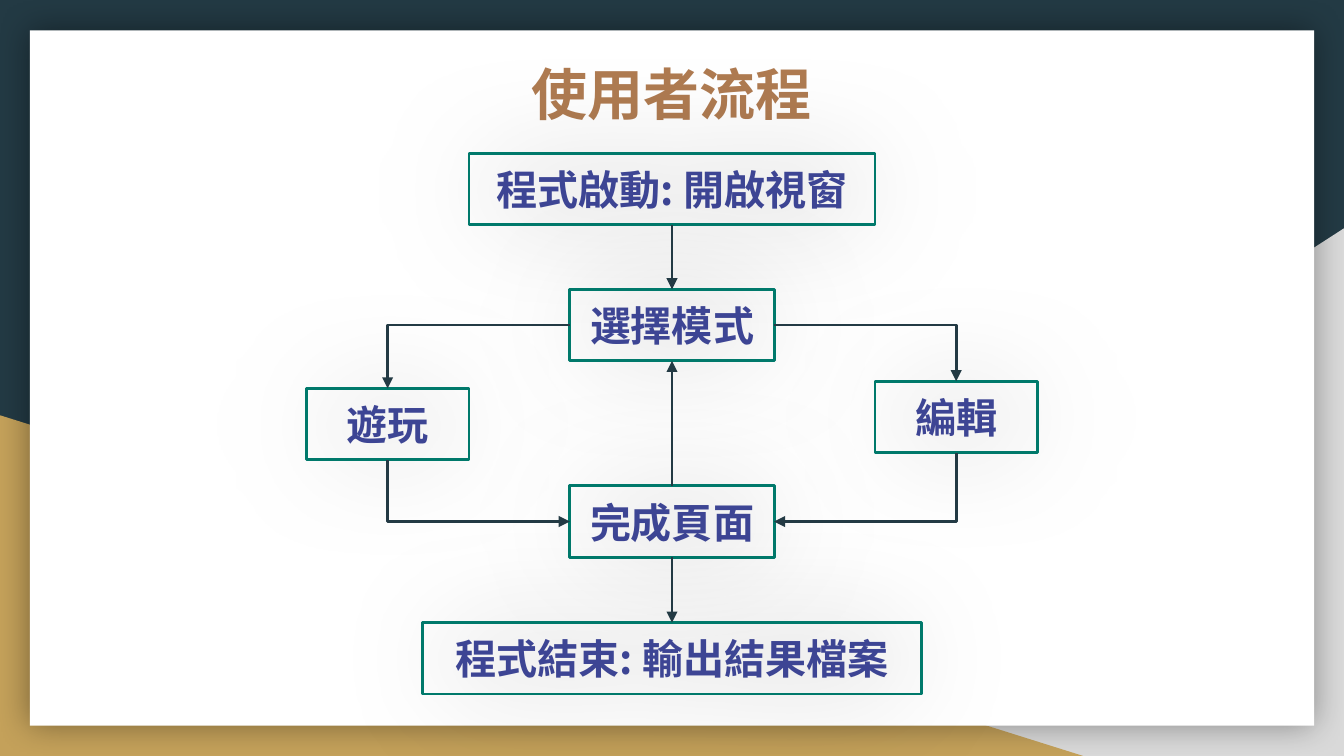
from dataclasses import dataclass

from lxml import etree
from pptx import Presentation
from pptx.dml.color import RGBColor
from pptx.enum.shapes import MSO_CONNECTOR, MSO_SHAPE
from pptx.enum.text import MSO_ANCHOR, MSO_AUTO_SIZE, PP_ALIGN
from pptx.oxml.ns import qn
from pptx.util import Inches, Pt

RECTANGLE = MSO_SHAPE.RECTANGLE
TRIANGLE = MSO_SHAPE.RIGHT_TRIANGLE
STRAIGHT = MSO_CONNECTOR.STRAIGHT
ELBOW = MSO_CONNECTOR.ELBOW
TOP, LEFT, BOTTOM, RIGHT = range(4)
WIDTH, HEIGHT = Inches(10), Inches(5.625)


@dataclass(frozen=True)
class Theme:
    font: str = "Noto Sans CJK TC"
    dark: str = "233A44"
    gray: str = "D9D9D9"
    gold: str = "C4A15A"
    white: str = "FFFFFF"
    black: str = "000000"
    title: str = "AF7B51"
    label: str = "3D4594"
    border: str = "00796B"
    title_size: float = 30
    label_size: float = 22
    line_width: float = 1.5


THEME = Theme()


@dataclass(frozen=True)
class Area:
    left: float
    top: float
    width: float
    height: float

    def lengths(self) -> tuple[int, int, int, int]:
        return (
            int(WIDTH * self.left / 100),
            int(HEIGHT * self.top / 100),
            int(WIDTH * self.width / 100),
            int(HEIGHT * self.height / 100),
        )


@dataclass(frozen=True)
class Panel:
    kind: int
    area: Area
    color: str
    mirrored: bool = False


@dataclass(frozen=True)
class Step:
    name: str
    text: str
    column: float
    row: float
    width: float


@dataclass(frozen=True)
class Link:
    kind: int
    begin: str
    begin_side: int
    end: str
    end_side: int
    arrow: str = "tailEnd"


LEFT_COLUMN, MIDDLE_COLUMN, RIGHT_COLUMN = 28.85, 50, 71.15
STEP_HEIGHT = 9.45
TITLE_AREA = Area(8.95, 6.05, 82.1, 12.6)
CARD = Panel(RECTANGLE, Area(2.22, 4, 95.56, 92), THEME.white)
CORNERS = [
    Panel(TRIANGLE, Area(39.2, 30.2, 60.8, 69.8), THEME.gray, True),
    Panel(TRIANGLE, Area(0, 54.93, 80.6, 45.07), THEME.gold),
]
STEPS = [
    Step("start", "程式啟動: 開啟視窗", MIDDLE_COLUMN, 25, 30.2),
    Step("mode", "選擇模式", MIDDLE_COLUMN, 43, 15.2),
    Step("play", "遊玩", LEFT_COLUMN, 56.1, 12.1),
    Step("edit", "編輯", RIGHT_COLUMN, 55.15, 12.1),
    Step("finish", "完成頁面", MIDDLE_COLUMN, 69, 15.2),
    Step("close", "程式結束: 輸出結果檔案", MIDDLE_COLUMN, 87.1, 37.1),
]
LINKS = [
    Link(STRAIGHT, "start", BOTTOM, "mode", TOP),
    Link(STRAIGHT, "finish", BOTTOM, "close", TOP),
    Link(STRAIGHT, "finish", TOP, "mode", BOTTOM),
    Link(ELBOW, "mode", RIGHT, "edit", TOP),
    Link(ELBOW, "mode", LEFT, "play", TOP),
    Link(ELBOW, "finish", RIGHT, "edit", BOTTOM, "headEnd"),
    Link(ELBOW, "finish", LEFT, "play", BOTTOM, "headEnd"),
]


def rgb(color: str) -> RGBColor:
    return RGBColor.from_string(color)


def add_shadow(shape, blur: float, distance: float, opacity: int) -> None:
    effects = shape._element.spPr.find(qn("a:effectLst"))
    shadow = etree.SubElement(effects, qn("a:outerShdw"), blurRad=str(Pt(blur)),
                              dist=str(Pt(distance)), dir="0", algn="ctr", rotWithShape="0")
    color = etree.SubElement(shadow, qn("a:srgbClr"), val=THEME.black)
    etree.SubElement(color, qn("a:alpha"), val=str(opacity * 1000))


def write_text(shape, text: str, size: float, color: str) -> None:
    frame = shape.text_frame
    frame.text = text
    frame.word_wrap = True
    frame.auto_size = MSO_AUTO_SIZE.NONE
    frame.vertical_anchor = MSO_ANCHOR.MIDDLE
    paragraph = frame.paragraphs[0]
    paragraph.alignment = PP_ALIGN.CENTER
    font = paragraph.font
    font.name = THEME.font
    font.size = Pt(size)
    font.bold = True
    font.color.rgb = rgb(color)
    defaults = paragraph._p.pPr.find(qn("a:defRPr"))
    etree.SubElement(defaults, qn("a:ea"), typeface=THEME.font)


def add_panel(slide, panel: Panel):
    shape = slide.shapes.add_shape(panel.kind, *panel.area.lengths())
    shape.shadow.inherit = False
    shape.fill.solid()
    shape.fill.fore_color.rgb = rgb(panel.color)
    shape.line.fill.background()
    if panel.mirrored:
        shape._element.spPr.xfrm.set("flipH", "1")
    return shape


def add_title(slide, text: str) -> None:
    title = slide.shapes.title
    title.left, title.top, title.width, title.height = TITLE_AREA.lengths()
    write_text(title, text, THEME.title_size, THEME.title)
    slide.shapes._spTree.append(title._element)


def add_step(slide, step: Step):
    area = Area(step.column - step.width / 2, step.row - STEP_HEIGHT / 2, step.width, STEP_HEIGHT)
    shape = slide.shapes.add_shape(RECTANGLE, *area.lengths())
    shape.fill.background()
    shape.line.color.rgb = rgb(THEME.border)
    shape.line.width = Pt(THEME.line_width)
    shape.shadow.inherit = False
    add_shadow(shape, 61.9, 2.2, 31)
    frame = shape.text_frame
    frame.margin_left = frame.margin_right = Inches(0.04)
    frame.margin_top = frame.margin_bottom = Inches(0.08)
    write_text(shape, step.text, THEME.label_size, THEME.label)
    return shape


def add_link(slide, link: Link, boxes: dict) -> None:
    connector = slide.shapes.add_connector(link.kind, 0, 0, 0, 0)
    connector.begin_connect(boxes[link.begin], link.begin_side)
    connector.end_connect(boxes[link.end], link.end_side)
    connector.line.color.rgb = rgb(THEME.dark)
    connector.line.width = Pt(THEME.line_width)
    properties = connector._element.spPr
    if link.kind == ELBOW:
        properties.find(qn("a:prstGeom")).set("prst", "bentConnector2")
    etree.SubElement(properties.find(qn("a:ln")), qn(f"a:{link.arrow}"), type="triangle")
    etree.SubElement(properties, qn("a:effectLst"))


def main() -> None:
    presentation = Presentation()
    presentation.slide_width, presentation.slide_height = WIDTH, HEIGHT
    slide = presentation.slides.add_slide(presentation.slide_layouts[5])
    slide.background.fill.solid()
    slide.background.fill.fore_color.rgb = rgb(THEME.dark)
    for corner in CORNERS:
        add_panel(slide, corner)
    add_shadow(add_panel(slide, CARD), 18, 0, 40)
    add_title(slide, "使用者流程")
    boxes = {step.name: add_step(slide, step) for step in STEPS}
    for link in LINKS:
        add_link(slide, link, boxes)
    presentation.save("out.pptx")


if __name__ == "__main__":
    main()
